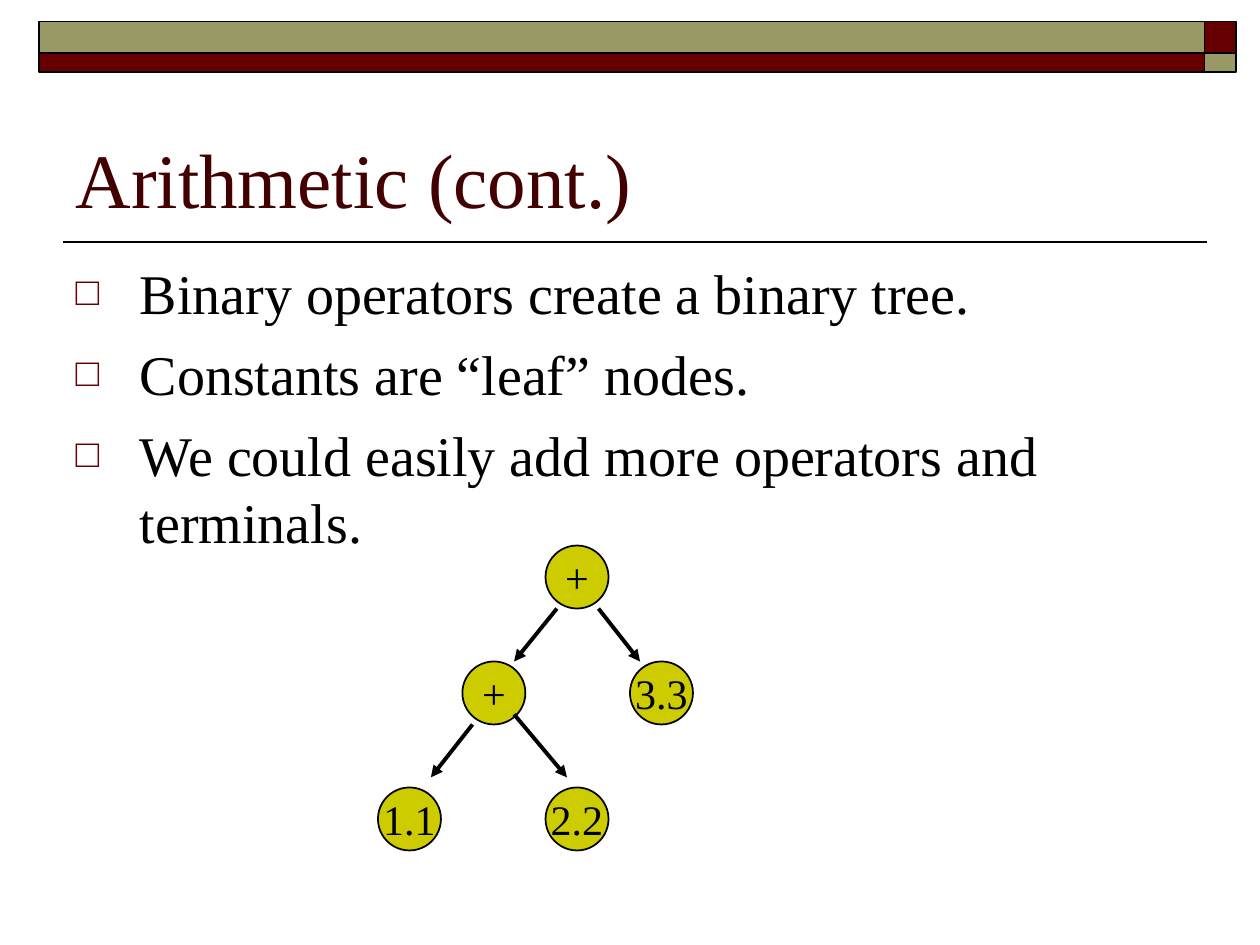
from dataclasses import dataclass

from lxml.etree import SubElement
from pptx import Presentation
from pptx.dml.color import RGBColor
from pptx.enum.shapes import MSO_CONNECTOR, MSO_SHAPE
from pptx.enum.text import MSO_ANCHOR, MSO_AUTO_SIZE, PP_ALIGN
from pptx.oxml.ns import qn
from pptx.util import Inches, Pt


@dataclass(frozen=True)
class Theme:
    """Colours, font and type sizes of the slide."""

    font: str = "Times New Roman"
    ink: RGBColor = RGBColor(0x00, 0x00, 0x00)
    title: RGBColor = RGBColor(0x42, 0x00, 0x00)
    maroon: RGBColor = RGBColor(0x66, 0x00, 0x00)
    olive: RGBColor = RGBColor(0x99, 0x99, 0x66)
    node: RGBColor = RGBColor(0xCC, 0xCC, 0x00)
    title_size: Pt = Pt(44)
    body_size: Pt = Pt(32)
    node_size: Pt = Pt(24)


THEME = Theme()
NODE_SIZE = 0.5
BULLETS = [
    "Binary operators create a binary tree.",
    "Constants are “leaf” nodes.",
    "We could easily add more operators and terminals.",
]
NODES = [
    ("+", 4.33, 4.33),
    ("+", 3.67, 5.25),
    ("2.2", 4.33, 6.25),
    ("1.1", 3, 6.25),
    ("3.3", 5, 5.25),
]
BRANCHES = [
    (4.42, 4.83, 4.08, 5.25),
    (3.75, 5.75, 3.42, 6.17),
    (4.08, 5.67, 4.5, 6.17),
    (4.75, 4.83, 5.08, 5.25),
]


def apply_format(target, values):
    """Set each attribute named in a dict of format values."""
    for name, value in values.items():
        setattr(target, name, value)


def format_font(paragraph, size, color):
    """Give a paragraph the theme font in a size and colour."""
    apply_format(paragraph.font, {"name": THEME.font, "size": size})
    paragraph.font.color.rgb = color


def add_filled_shape(slide, kind, box, color):
    """Add a flat preset shape with a thin outline."""
    shape = slide.shapes.add_shape(kind, *map(Inches, box))
    shape.shadow.inherit = False
    shape.fill.solid()
    shape.fill.fore_color.rgb = color
    shape.line.color.rgb = THEME.ink
    shape.line.width = Pt(1)
    return shape


def add_line(slide, points, width, arrow=False):
    """Add a straight line, with an arrowhead at its end if wanted."""
    connector = slide.shapes.add_connector(
        MSO_CONNECTOR.STRAIGHT, *map(Inches, points))
    connector.line.color.rgb = THEME.ink
    connector.line.width = Pt(width)
    if arrow:
        SubElement(connector.line._get_or_add_ln(), qn("a:tailEnd"), type="triangle")
    SubElement(connector._element.spPr, qn("a:effectLst"))


def add_banner(slide):
    """Add the two-row banner with its swapped corner colours."""
    left, split, top, corner = 0.31, 9.56, 0.17, 0.25
    rows = [
        (top, corner, THEME.olive, THEME.maroon),
        (top + corner, 0.15, THEME.maroon, THEME.olive),
    ]
    for row_top, height, bar_color, corner_color in rows:
        for x, width, color in [(left, split - left, bar_color),
                                (split, corner, corner_color)]:
            add_filled_shape(slide, MSO_SHAPE.RECTANGLE,
                             (x, row_top, width, height), color)


def place_placeholder(placeholder, box, anchor):
    """Move a placeholder and fix its text frame."""
    sides = ("left", "top", "width", "height")
    apply_format(placeholder, dict(zip(sides, map(Inches, box))))
    apply_format(placeholder.text_frame, {
        "word_wrap": True,
        "auto_size": MSO_AUTO_SIZE.NONE,
        "vertical_anchor": anchor,
    })


def add_title(slide, text):
    """Fill the title placeholder."""
    title = slide.shapes.title
    place_placeholder(title, (0.5, 0.58, 9, 1.25), MSO_ANCHOR.BOTTOM)
    title.text_frame.text = text
    paragraph = title.text_frame.paragraphs[0]
    paragraph.alignment = PP_ALIGN.LEFT
    format_font(paragraph, THEME.title_size, THEME.title)


def add_bullet(paragraph):
    """Give a paragraph a hanging square bullet."""
    properties = paragraph._p.get_or_add_pPr()
    properties.set("marL", str(Inches(0.51)))
    properties.set("indent", str(-Inches(0.51)))
    color = SubElement(properties, qn("a:buClr"))
    SubElement(color, qn("a:srgbClr"), val=str(THEME.maroon))
    SubElement(properties, qn("a:buSzPct"), val="70000")
    SubElement(properties, qn("a:buFont"), typeface=THEME.font)
    SubElement(properties, qn("a:buChar"), char="□")


def add_bullet_list(slide, lines):
    """Fill the body placeholder with bulleted lines."""
    body = slide.placeholders[1]
    place_placeholder(body, (0.5, 2, 9, 4.7), MSO_ANCHOR.TOP)
    body.text_frame.text = "\n".join(lines)
    for index, paragraph in enumerate(body.text_frame.paragraphs):
        add_bullet(paragraph)
        paragraph.space_before = Pt(8 if index else 0)
        format_font(paragraph, THEME.body_size, THEME.ink)


def add_node(slide, text, left, top):
    """Add a labelled round tree node."""
    node = add_filled_shape(slide, MSO_SHAPE.OVAL,
                            (left, top, NODE_SIZE, NODE_SIZE), THEME.node)
    apply_format(node.text_frame, {
        "word_wrap": False,
        "vertical_anchor": MSO_ANCHOR.MIDDLE,
        "text": text,
    })
    paragraph = node.text_frame.paragraphs[0]
    paragraph.alignment = PP_ALIGN.CENTER
    format_font(paragraph, THEME.node_size, THEME.ink)


def main():
    """Build the slide and save it."""
    presentation = Presentation()
    apply_format(presentation, {"slide_width": Inches(10), "slide_height": Inches(7.5)})
    slide = presentation.slides.add_slide(presentation.slide_layouts[1])
    add_line(slide, (0.5, 1.92, 9.58, 1.92), 1)
    add_banner(slide)
    add_title(slide, "Arithmetic (cont.)")
    add_bullet_list(slide, BULLETS)
    for node in NODES:
        add_node(slide, *node)
    for branch in BRANCHES:
        add_line(slide, branch, 2.25, arrow=True)
    presentation.save("out.pptx")


if __name__ == "__main__":
    main()
